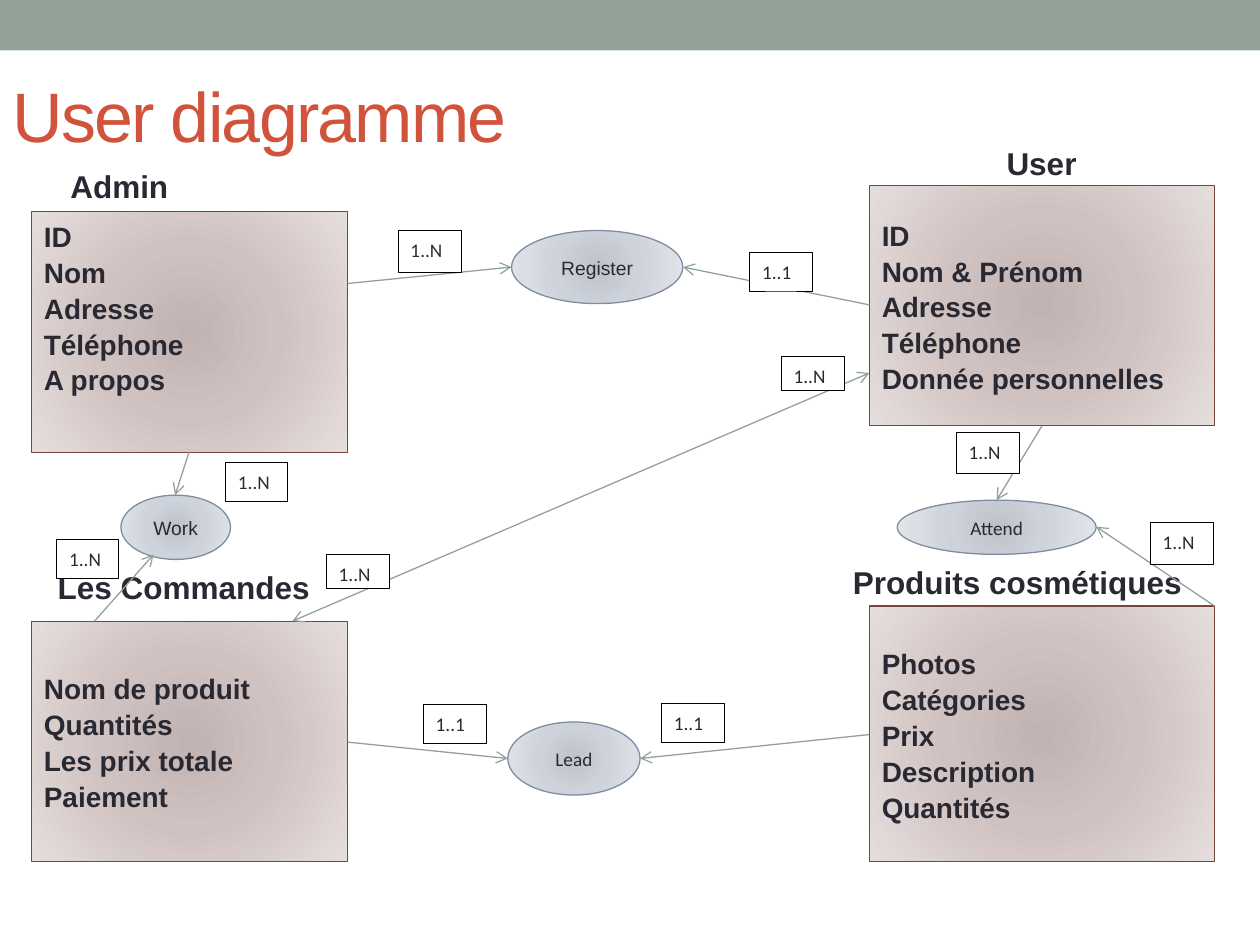
"""Build the user entity-relationship diagram slide."""
from dataclasses import dataclass

from lxml import etree
from pptx import Presentation
from pptx.dml.color import RGBColor
from pptx.enum import shapes, text
from pptx.oxml.ns import qn
from pptx.util import Inches, Pt


@dataclass(frozen=True)
class Theme:
    """Colours, fonts and type sizes."""
    sage: str = "93A299"
    title: str = "D2533C"
    ink: str = "292934"
    white: str = "FFFFFF"
    black: str = "000000"
    entity_line: str = "79463D"
    relation_line: str = "808DA0"
    entity_fill: tuple[str, ...] = ("C0B3B1", "D0C2C0", "E5DEDD")
    relation_fill: tuple[str, ...] = ("BEC3CB", "CDD2DB", "E3E6EB")
    sans: str = "Arial"
    label: str = "Calibri"
    title_size: int = 40
    heading_size: int = 18
    field_size: int = 16
    label_size: int = 11
    leading: float = 1.07


@dataclass(frozen=True)
class Box:
    """Left, top, width and height in inches."""
    x: float
    y: float
    w: float
    h: float

    def lengths(self) -> list[Inches]:
        """Return the box as slide lengths."""
        return [Inches(v) for v in (self.x, self.y, self.w, self.h)]


@dataclass(frozen=True)
class Entity:
    """A named box of fields."""
    name: str
    heading: Box
    box: Box
    fields: tuple[str, ...]
    bottom_inset: float = 0.05


@dataclass(frozen=True)
class Relation:
    """An ellipse that joins two entities."""
    name: str
    box: Box
    font: str


@dataclass(frozen=True)
class Link:
    """An arrow between two points."""
    start: tuple[float, float]
    end: tuple[float, float]
    both_ways: bool = False


@dataclass(frozen=True)
class Cardinality:
    """A small label beside an arrow."""
    value: str
    box: Box


T = Theme()

ENTITIES = (
    Entity("Admin", Box(0.46, 1.28, 0.99, 0.4), Box(0.25, 1.68, 2.51, 1.91),
           ("ID", "Nom", "Adresse", "Téléphone", "A propos"), 0.45),
    Entity("Produits cosmétiques", Box(6.67, 4.42, 2.84, 0.4), Box(6.9, 4.81, 2.74, 2.03),
           ("Photos", "Catégories", "Prix", "Description", "Quantités")),
    Entity("Les Commandes", Box(0.36, 4.46, 2.29, 0.4), Box(0.25, 4.93, 2.51, 1.91),
           ("Nom de produit", "Quantités", "Les prix totale", "Paiement")),
    Entity("User", Box(7.89, 1.09, 0.76, 0.4), Box(6.9, 1.47, 2.74, 1.91),
           ("ID", "Nom & Prénom", "Adresse", "Téléphone", "Donnée personnelles")),
)
RELATIONS = (
    Relation("Register", Box(4.06, 1.83, 1.36, 0.58), T.sans),
    Relation("Attend", Box(7.12, 3.97, 1.58, 0.43), T.label),
    Relation("Work", Box(0.96, 3.93, 0.87, 0.51), T.sans),
    Relation("Lead", Box(4.03, 5.73, 1.05, 0.58), T.label),
)
LINKS = (
    Link((2.76, 2.25), (4.06, 2.12)),
    Link((6.9, 2.42), (5.42, 2.12)),
    Link((8.27, 3.38), (7.91, 3.97)),
    Link((9.64, 4.81), (8.7, 4.18)),
    Link((6.9, 5.83), (5.08, 6.02)),
    Link((2.76, 5.89), (4.03, 6.02)),
    Link((1.5, 3.59), (1.39, 3.93)),
    Link((0.75, 4.93), (1.22, 4.4)),
    Link((2.32, 4.93), (6.9, 2.96), both_ways=True),
)
CARDINALITIES = (
    Cardinality("1..N", Box(3.16, 1.83, 0.5, 0.33)),
    Cardinality("1..1", Box(5.95, 2, 0.5, 0.31)),
    Cardinality("1..N", Box(6.2, 2.83, 0.5, 0.27)),
    Cardinality("1..N", Box(2.59, 4.4, 0.5, 0.27)),
    Cardinality("1..N", Box(1.79, 3.67, 0.49, 0.31)),
    Cardinality("1..N", Box(0.45, 4.28, 0.49, 0.31)),
    Cardinality("1..1", Box(3.36, 5.59, 0.5, 0.31)),
    Cardinality("1..1", Box(5.25, 5.58, 0.5, 0.31)),
    Cardinality("1..N", Box(7.59, 3.43, 0.5, 0.33)),
    Cardinality("1..N", Box(9.13, 4.15, 0.5, 0.33)),
)


def write(tf, lines, size: int, font: str = T.sans, color: str = T.ink, bold: bool = False,
          align=text.PP_ALIGN.LEFT, leading: float = T.leading) -> None:
    """Fill a text frame with one paragraph for each line."""
    tf.text = "\n".join(lines)
    for p in tf.paragraphs:
        p.alignment, p.line_spacing = align, leading
        p.space_before = p.space_after = Pt(0)
        p.font.size, p.font.name, p.font.bold = Pt(size), font, bold
        p.font.color.rgb = RGBColor.from_string(color)


def radial_fill(sp, colors: tuple[str, ...]) -> None:
    """Give a shape a gradient that spreads from its centre."""
    sp.fill.background()
    sppr = sp._element.spPr
    grad = etree.Element(qn("a:gradFill"), rotWithShape="1")
    stops = etree.SubElement(grad, qn("a:gsLst"))
    for position, color in zip((0, 45000, 100000), colors):
        stop = etree.SubElement(stops, qn("a:gs"), pos=str(position))
        etree.SubElement(stop, qn("a:srgbClr"), val=color)
    circle = etree.SubElement(grad, qn("a:path"))
    circle.set("path", "circle")
    etree.SubElement(circle, qn("a:fillToRect"), dict.fromkeys("ltrb", "100000"))
    sppr.replace(sppr.find(qn("a:noFill")), grad)


def add_box(s, kind, box: Box, fill, line: str | None = None, width: float = 0.75,
            anchor=text.MSO_ANCHOR.MIDDLE):
    """Add a shape with a plain or radial fill."""
    sp = s.shapes.add_shape(kind, *box.lengths())
    sp.shadow.inherit = False
    if isinstance(fill, str):
        sp.fill.solid()
        sp.fill.fore_color.rgb = RGBColor.from_string(fill)
    else:
        radial_fill(sp, fill)
    if line:
        sp.line.color.rgb = RGBColor.from_string(line)
        sp.line.width = Pt(width)
    else:
        sp.line.fill.background()
    sp.text_frame.vertical_anchor = anchor
    return sp


def add_title(s, words: str) -> None:
    """Place and format the title placeholder."""
    sp = s.shapes.title
    sp.left, sp.top, sp.width, sp.height = Box(0, 0.44, 7.68, 0.94).lengths()
    tf = sp.text_frame
    write(tf, [words], T.title_size, color=T.title, leading=1.0)
    tf.auto_size, tf.vertical_anchor = text.MSO_AUTO_SIZE.NONE, text.MSO_ANCHOR.MIDDLE
    tf.paragraphs[0].runs[0].font._element.set("spc", "-100")


def add_entity(s, entity: Entity) -> None:
    """Draw an entity's fields and heading."""
    tf = add_box(s, shapes.MSO_SHAPE.RECTANGLE, entity.box, T.entity_fill, T.entity_line).text_frame
    tf.margin_bottom = Inches(entity.bottom_inset)
    write(tf, entity.fields, T.field_size, bold=True)
    tf = s.shapes.add_textbox(*entity.heading.lengths()).text_frame
    tf.word_wrap, tf.auto_size = False, text.MSO_AUTO_SIZE.SHAPE_TO_FIT_TEXT
    write(tf, [entity.name], T.heading_size, bold=True, leading=1.0)


def add_relation(s, relation: Relation) -> None:
    """Draw a relation ellipse."""
    sp = add_box(s, shapes.MSO_SHAPE.OVAL, relation.box, T.relation_fill, T.relation_line)
    write(sp.text_frame, [relation.name], T.label_size, relation.font, align=text.PP_ALIGN.CENTER)


def add_link(s, link: Link) -> None:
    """Draw an arrow."""
    ends = [Inches(v) for v in (*link.start, *link.end)]
    sp = s.shapes.add_connector(shapes.MSO_CONNECTOR.STRAIGHT, *ends)
    sp.line.color.rgb, sp.line.width = RGBColor.from_string(T.sage), Pt(0.75)
    for tag in ("a:headEnd", "a:tailEnd") if link.both_ways else ("a:tailEnd",):
        etree.SubElement(sp.line._get_or_add_ln(), qn(tag), type="arrow")
    etree.SubElement(sp._element.spPr, qn("a:effectLst"))


def add_cardinality(s, label: Cardinality) -> None:
    """Draw a cardinality label."""
    sp = add_box(s, shapes.MSO_SHAPE.RECTANGLE, label.box, T.white, T.black, 0.5, text.MSO_ANCHOR.TOP)
    write(sp.text_frame, [label.value], T.label_size, T.label)


def main() -> None:
    """Build and save the slide."""
    prs = Presentation()
    prs.slide_width, prs.slide_height = Inches(10), Inches(7.5)
    s = prs.slides.add_slide(prs.slide_layouts[5])
    add_box(s, shapes.MSO_SHAPE.RECTANGLE, Box(0, 0, 10, 0.4), T.sage)
    add_title(s, "User diagramme")
    for draw, items in ((add_entity, ENTITIES), (add_relation, RELATIONS),
                        (add_link, LINKS), (add_cardinality, CARDINALITIES)):
        for item in items:
            draw(s, item)
    prs.save("out.pptx")


if __name__ == "__main__":
    main()
